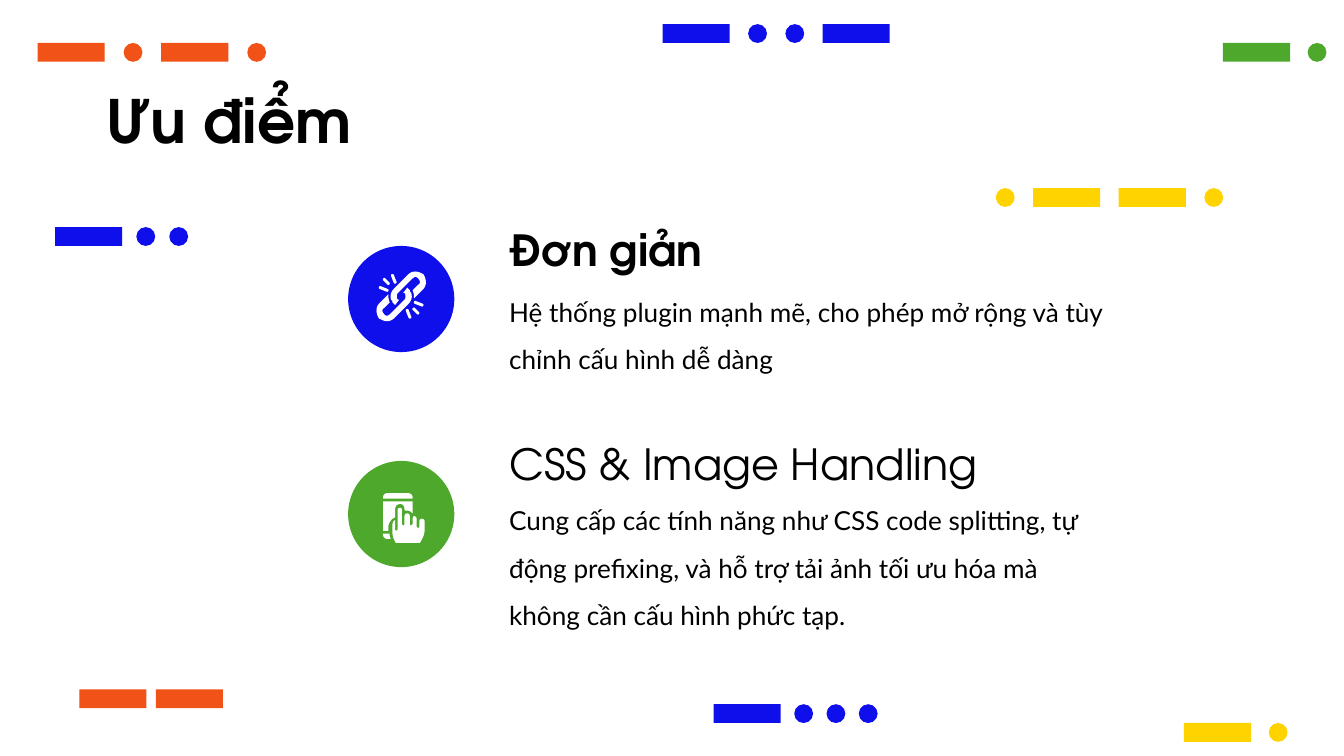
import math
from dataclasses import dataclass

from pptx import Presentation
from pptx.dml.color import RGBColor
from pptx.enum.shapes import MSO_SHAPE
from pptx.enum.text import MSO_ANCHOR, MSO_AUTO_SIZE, PP_ALIGN
from pptx.util import Inches, Pt

RECTANGLE, OVAL = MSO_SHAPE.RECTANGLE, MSO_SHAPE.OVAL
TOP, LEFT, NO_AUTOFIT = MSO_ANCHOR.TOP, PP_ALIGN.LEFT, MSO_AUTO_SIZE.NONE

ORANGE = RGBColor(0xF0, 0x52, 0x18)
YELLOW = RGBColor(0xFF, 0xD3, 0x00)
BLUE = RGBColor(0x0F, 0x0F, 0xEB)
GREEN = RGBColor(0x4D, 0xA8, 0x2C)
WHITE = RGBColor(0xFF, 0xFF, 0xFF)
BLACK = RGBColor(0x00, 0x00, 0x00)

# Square grid: the slide is 100 columns wide and 56.25 rows high
COLUMNS, ROWS = 100, 56.25
CELL = Inches(10) / COLUMNS
DASH, DOT = 5, 1.4
BADGE = 7.9
TEXT_COLUMN, HEADING_HEIGHT = 36.9, 6.3

TITLE_FORMAT = {"name": "TeX Gyre Adventor", "size": Pt(32), "bold": True}
HEADING_FORMAT = {"name": "TeX Gyre Adventor", "size": Pt(23)}
BODY_FORMAT = {"name": "Lato", "size": Pt(14), "bold": False}


@dataclass
class Trail:
    column: float
    row: float
    pattern: str  # "-" is a dash, "o" a dot
    gap: float
    color: RGBColor


@dataclass
class Advantage:
    heading: str
    body: str
    badge_row: float
    heading_row: float
    heading_width: float
    bold: bool
    body_row: float
    color: RGBColor


TRAILS = [
    Trail(5.9, 51.3, "--", 0.7, ORANGE),
    Trail(88.1, 53.8, "-o", 1.3, YELLOW),
    Trail(4.1, 16.9, "-oo", 1.05, BLUE),
    Trail(91, 3.2, "-o", 1.3, GREEN),
    Trail(49.3, 1.8, "-oo-", 1.37, BLUE),
    Trail(74.1, 14, "o--o", 1.37, YELLOW),
    Trail(53.1, 52.4, "-ooo", 1, BLUE),
    Trail(2.8, 3.2, "-o-o", 1.4, ORANGE),
]

ADVANTAGES = [
    Advantage("Đơn giản",
              "Hệ thống plugin mạnh mẽ, cho phép mở rộng và tùy chỉnh cấu hình dễ dàng",
              18.3, 16.4, 34.9, True, 19.9, BLUE),
    Advantage("CSS & Image Handling",
              "Cung cấp các tính năng như CSS code splitting, tự động prefixing, và hỗ trợ "
              "tải ảnh tối ưu hóa mà không cần cấu hình phức tạp.",
              34.3, 32.3, 39.4, False, 35.4, GREEN),
]

# Outlines in cells: a pair is a line to a point, six numbers are a Bézier curve
CHAIN_CENTER = (29.85, 22.05)
CHAIN_LINK = [
    (30.3, 21.4), (30, 21.8), (30, 21.8, 30.1, 21.8, 30.1, 21.8),
    (30.2, 21.9, 30.2, 22.2, 30.1, 22.3), (29, 23.4),
    (28.9, 23.4, 28.9, 23.5, 28.8, 23.5), (28.7, 23.5, 28.6, 23.4, 28.6, 23.4),
    (28.4, 23.2, 28.4, 23, 28.6, 22.9), (29, 22.5), (28.9, 22.3, 28.9, 22.1, 28.9, 21.9),
    (28.2, 22.6), (27.9, 22.9, 28, 23.4, 28.2, 23.7), (28.4, 23.8, 28.6, 23.9, 28.8, 23.9),
    (29, 23.9, 29.2, 23.8, 29.3, 23.7), (30.4, 22.6), (30.6, 22.4, 30.7, 22.1, 30.6, 21.8),
    (30.5, 21.7, 30.5, 21.7, 30.5, 21.6), (30.4, 21.5, 30.4, 21.5, 30.3, 21.4),
]
SPARKS = [((30.8, 23), (31.1, 23.3)), ((30.9, 22.5), (31.4, 22.7)), ((30.3, 23.1), (30.5, 23.6))]
SPARK_RADIUS = 0.11
PHONE_BOTTOM = [(28.5, 39.7), (28.5, 39.8), (28.5, 40, 28.7, 40.1, 28.8, 40.1),
                (29.1, 40.1), (29, 40, 29, 39.9, 29, 39.7)]
PHONE_SCREEN = [
    (28.5, 37.3), (28.5, 39.5), (28.9, 39.5), (28.9, 39.2),
    (28.9, 38.9, 29.1, 38.7, 29.2, 38.6), (29.4, 38.5), (29.4, 37.9),
    (29.4, 37.7, 29.5, 37.5, 29.8, 37.5), (30, 37.5, 30.1, 37.7, 30.1, 37.9),
    (30.1, 38), (30.2, 38, 30.2, 38, 30.3, 38), (30.5, 38, 30.6, 38.1, 30.7, 38.2), (30.7, 37.3),
]
PHONE_TOP = [(28.8, 36.7), (28.7, 36.7, 28.5, 36.8, 28.5, 37), (28.5, 37.1),
             (30.7, 37.1), (30.7, 37), (30.7, 36.8, 30.5, 36.7, 30.4, 36.7)]
HAND = [
    (29.8, 37.8), (29.7, 37.8, 29.6, 37.8, 29.6, 37.9), (29.6, 39.4),
    (29.6, 39.4, 29.5, 39.5, 29.5, 39.5), (29.4, 39.5, 29.4, 39.4, 29.4, 39.4), (29.4, 38.7),
    (29.2, 38.8, 29.2, 39, 29.2, 39.2), (29.2, 39.4), (29.2, 39.7, 29.2, 40, 29.4, 40.3),
    (29.4, 40.3, 29.4, 40.4, 29.5, 40.4), (31.2, 40.4), (31.3, 40.4, 31.3, 40.3, 31.3, 40.3),
    (31.5, 40, 31.6, 39.7, 31.6, 39.4), (31.6, 38.8), (31.6, 38.7, 31.5, 38.6, 31.4, 38.6),
    (31.3, 38.6, 31.2, 38.7, 31.2, 38.8), (31.2, 39.2), (31.2, 39.2, 31.2, 39.3, 31.1, 39.3),
    (31.1, 39.3, 31, 39.2, 31, 39.2), (31, 38.6), (31, 38.5, 30.9, 38.4, 30.8, 38.4),
    (30.8, 38.4, 30.7, 38.5, 30.7, 38.6), (30.7, 39), (30.7, 39, 30.6, 39.1, 30.6, 39.1),
    (30.5, 39.1, 30.5, 39, 30.5, 39), (30.5, 38.4), (30.5, 38.3, 30.4, 38.2, 30.3, 38.2),
    (30.2, 38.2, 30.1, 38.3, 30.1, 38.4), (30.1, 39), (30.1, 39, 30.1, 39.1, 30, 39.1),
    (30, 39.1, 29.9, 39, 29.9, 39), (29.9, 37.9), (29.9, 37.8, 29.8, 37.8, 29.8, 37.8),
]


def cells(*values: float) -> list[int]:
    return [round(value * CELL) for value in values]


def paint(shape, color: RGBColor) -> None:
    shape.shadow.inherit = False
    shape.fill.solid()
    shape.fill.fore_color.rgb = color
    shape.line.fill.background()


def draw_trail(slide, trail: Trail) -> None:
    group = slide.shapes.add_group_shape()
    column = trail.column
    for mark in trail.pattern:
        kind, width = (RECTANGLE, DASH) if mark == "-" else (OVAL, DOT)
        paint(group.shapes.add_shape(kind, *cells(column, trail.row, width, DOT)), trail.color)
        column += width + trail.gap


def write(shape, text: str, box: tuple, formats: dict, spacing: float = 1,
          left_inset: float = 1) -> None:
    shape.left, shape.top, shape.width, shape.height = cells(*box)
    frame = shape.text_frame
    inset = cells(1)[0]
    settings = {"word_wrap": True, "auto_size": NO_AUTOFIT, "vertical_anchor": TOP,
                "margin_left": cells(left_inset)[0], "margin_top": inset,
                "margin_right": inset, "margin_bottom": inset}
    for name, value in settings.items():
        setattr(frame, name, value)
    paragraph = frame.paragraphs[0]
    paragraph.alignment = LEFT
    paragraph.line_spacing = spacing
    run = paragraph.add_run()
    run.text = text
    for name, value in formats.items():
        setattr(run.font, name, value)
    run.font.color.rgb = BLACK


def flatten(outline: list, steps: int = 6) -> list:
    """Turn lines and Bézier curves into a list of points."""
    points = [outline[0]]
    for part in outline[1:]:
        if len(part) == 2:
            points.append(part)
            continue
        controls = [points[-1], part[:2], part[2:4], part[4:]]
        for step in range(1, steps + 1):
            t = step / steps
            weights = [math.comb(3, k) * t**k * (1 - t)**(3 - k) for k in range(4)]
            points.append(tuple(sum(w * c[axis] for w, c in zip(weights, controls))
                                for axis in (0, 1)))
    return points


def capsule(start: tuple, end: tuple, radius: float, steps: int = 8) -> list:
    """Points around a short stroke with round ends."""
    heading = math.atan2(end[1] - start[1], end[0] - start[0])
    points = []
    for center, first in ((end, heading - math.pi / 2), (start, heading + math.pi / 2)):
        for step in range(steps + 1):
            angle = first + math.pi * step / steps
            points.append((center[0] + radius * math.cos(angle),
                           center[1] + radius * math.sin(angle)))
    return points


def half_turn(points: list, center: tuple) -> list:
    return [(2 * center[0] - x, 2 * center[1] - y) for x, y in points]


def draw_icon(slide, polygons: list) -> None:
    group = slide.shapes.add_group_shape()
    for polygon in polygons:
        points = [cells(*point) for point in polygon]
        builder = group.shapes.build_freeform(*points[0])
        builder.add_line_segments(points[1:], close=True)
        paint(builder.convert_to_shape(), WHITE)


def draw_advantage(slide, item: Advantage) -> None:
    paint(slide.shapes.add_shape(OVAL, *cells(25.9, item.badge_row, BADGE, BADGE)), item.color)
    heading_box = (TEXT_COLUMN, item.heading_row, item.heading_width, HEADING_HEIGHT)
    body_box = (TEXT_COLUMN, item.body_row, 46.4, 8.6)
    for text, box, formats, spacing in (
            (item.heading, heading_box, HEADING_FORMAT | {"bold": item.bold}, 0.8),
            (item.body, body_box, BODY_FORMAT, 1.5)):
        write(slide.shapes.add_textbox(*cells(*box)), text, box, formats, spacing)


def main() -> None:
    presentation = Presentation()
    presentation.slide_width, presentation.slide_height = cells(COLUMNS, ROWS)
    slide = presentation.slides.add_slide(presentation.slide_layouts[5])

    # Decorative dashes and dots
    for trail in TRAILS:
        draw_trail(slide, trail)

    # Title and the two advantages
    write(slide.shapes.title, "Ưu điểm", (7.9, 5.2, 84.3, 6.3), TITLE_FORMAT, left_inset=0)
    for item in ADVANTAGES:
        draw_advantage(slide, item)

    # Icons: the chain repeats itself after a half turn
    chain = [capsule(*spark, SPARK_RADIUS) for spark in SPARKS] + [flatten(CHAIN_LINK)]
    draw_icon(slide, chain + [half_turn(points, CHAIN_CENTER) for points in chain])
    draw_icon(slide, [flatten(part) for part in (PHONE_BOTTOM, PHONE_SCREEN, PHONE_TOP, HAND)])

    presentation.save("out.pptx")


if __name__ == "__main__":
    main()
